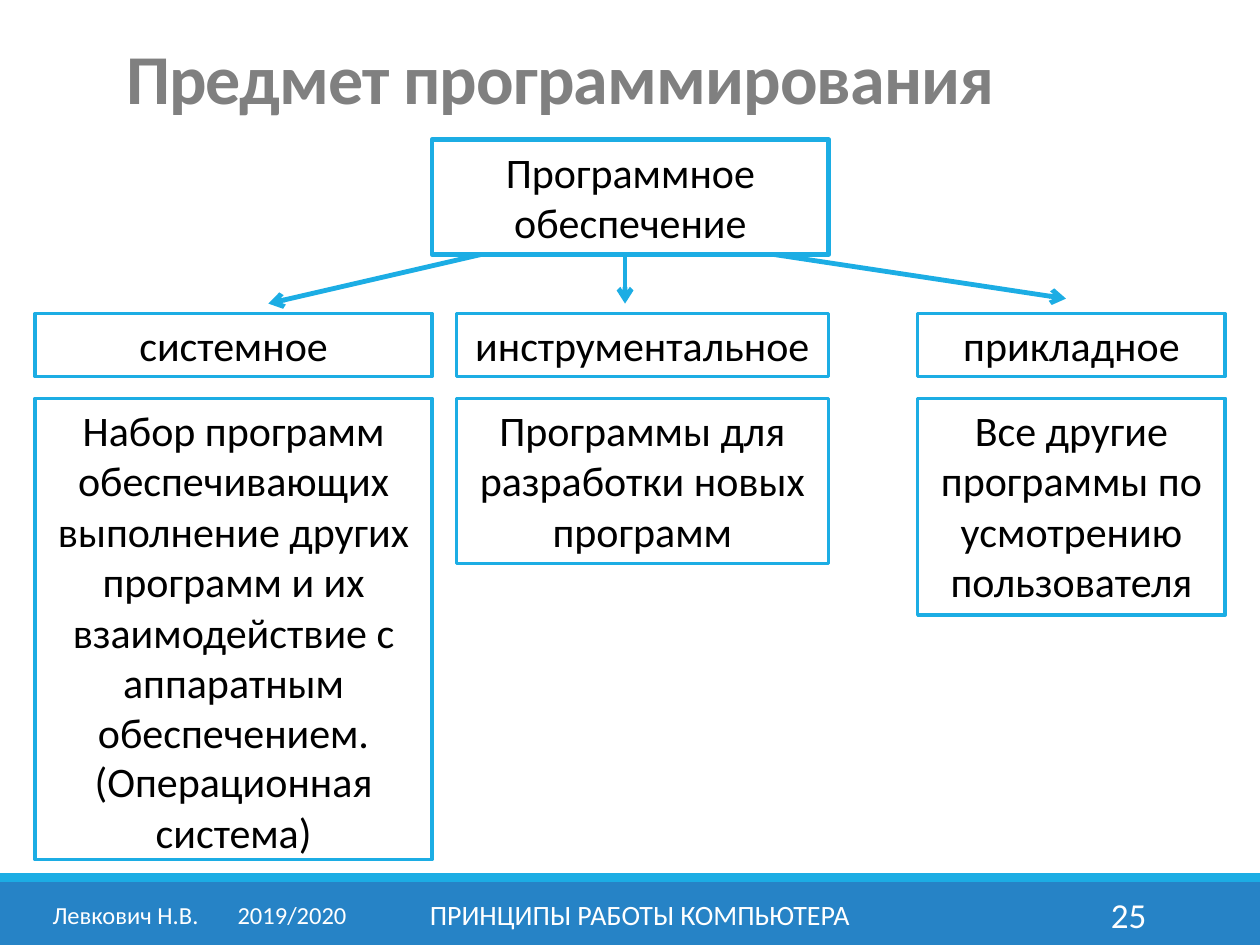
"""Build the slide on the subject of programming: a tree of software kinds."""
from dataclasses import dataclass

import lxml.etree
import pptx
import pptx.dml.color
import pptx.enum.shapes
import pptx.enum.text
import pptx.oxml.ns
import pptx.util

Cm = pptx.util.Cm
Pt = pptx.util.Pt
ALIGN = pptx.enum.text.PP_ALIGN
ANCHOR = pptx.enum.text.MSO_ANCHOR
qn = pptx.oxml.ns.qn

COLORS = {"blue": "2683C6", "cyan": "1CADE4", "grey": "808080",
          "black": "000000", "white": "FFFFFF"}
FONT = "Calibri"
KIND_TOP, KIND_HEIGHT, DESCRIPTION_TOP = 6.32, 1.27, 8.03
ROOT_BOTTOM = 5.13
FOOTER_TOP, FOOTER_HEIGHT = 17.93, 1.02


@dataclass
class Area:
    left: float
    top: float
    width: float
    height: float

    def lengths(self) -> tuple:
        return Cm(self.left), Cm(self.top), Cm(self.width), Cm(self.height)


@dataclass
class Branch:
    kind: str
    description: str
    left: float
    width: float
    description_height: float
    arrow_start: float
    arrow_end: tuple[float, float]


@dataclass
class FooterPart:
    text: str
    left: float
    width: float
    size: int
    align: ALIGN


BRANCHES = [
    Branch("системное",
           "Набор программ обеспечивающих выполнение других программ "
           "и их взаимодействие с аппаратным обеспечением.",
           0.71, 8, 9.3, 9.7, (5.41, 6.12)),
    Branch("инструментальное", "Программы для разработки новых программ",
           9.2, 7.5, 3.33, 12.6, (12.6, 6.12)),
    Branch("прикладное", "Все другие программы по усмотрению пользователя",
           18.5, 6.2, 4.37, 15.6, (21.49, 6.02)),
]
FOOTER = [
    FooterPart("Левкович Н.В.\t2019/2020", 0.81, 6.63, 14, ALIGN.LEFT),
    FooterPart("ПРИНЦИПЫ РАБОТЫ КОМПЬЮТЕРА", 7.67, 10.46, 16, ALIGN.CENTER),
    FooterPart("25", 20.62, 2.74, 20, ALIGN.RIGHT),
]


def rgb(name: str) -> pptx.dml.color.RGBColor:
    return pptx.dml.color.RGBColor.from_string(COLORS[name])


def write(shape, text: str, size: int, color: str, align: ALIGN, anchor: ANCHOR):
    frame = shape.text_frame
    frame.word_wrap = True
    frame.auto_size = pptx.enum.text.MSO_AUTO_SIZE.NONE
    frame.vertical_anchor = anchor
    paragraph = frame.paragraphs[0]
    paragraph.add_run().text = text
    paragraph.alignment = align
    paragraph.font.name = FONT
    paragraph.font.size = Pt(size)
    paragraph.font.color.rgb = rgb(color)
    return paragraph


def add_rectangle(slide, area: Area):
    rectangle = slide.shapes.add_shape(
        pptx.enum.shapes.MSO_SHAPE.RECTANGLE, *area.lengths())
    rectangle.shadow.inherit = False
    return rectangle


def add_bar(slide, area: Area, color: str) -> None:
    bar = add_rectangle(slide, area)
    bar.fill.solid()
    bar.fill.fore_color.rgb = rgb(color)
    bar.line.fill.background()


def add_box(slide, text: str, area: Area, line_width: float = 2) -> None:
    box = add_rectangle(slide, area)
    box.fill.background()
    box.line.color.rgb = rgb("cyan")
    box.line.width = Pt(line_width)
    write(box, text, 24, "black", ALIGN.CENTER, ANCHOR.TOP)


def add_label(slide, text: str, area: Area, size: int, color: str,
              align: ALIGN, anchor: ANCHOR):
    label = slide.shapes.add_textbox(*area.lengths())
    return write(label, text, size, color, align, anchor)


def add_arrow(slide, start: tuple[float, float], end: tuple[float, float]) -> None:
    arrow = slide.shapes.add_connector(
        pptx.enum.shapes.MSO_CONNECTOR.STRAIGHT,
        *(Cm(value) for value in start + end))
    arrow.line.color.rgb = rgb("cyan")
    arrow.line.width = Pt(2.75)
    lxml.etree.SubElement(arrow.line._get_or_add_ln(), qn("a:tailEnd"), type="arrow")
    lxml.etree.SubElement(arrow._element.spPr, qn("a:effectLst"))


def add_title(slide, text: str) -> None:
    title = slide.shapes.title
    title.left, title.top, title.width, title.height = Area(2.29, 0.66, 20.96, 2.03).lengths()
    paragraph = write(title, text, 40, "grey", ALIGN.LEFT, ANCHOR.MIDDLE)
    paragraph.font.bold = True
    paragraph.line_spacing = 0.85
    paragraph.runs[0].font._element.set("spc", "-50")


def add_footer(slide) -> None:
    add_bar(slide, Area(0, 17.78, 25.4, 1.27), "blue")
    add_bar(slide, Area(0, 17.6, 25.4, 0.18), "cyan")
    for part in FOOTER:
        area = Area(part.left, FOOTER_TOP, part.width, FOOTER_HEIGHT)
        paragraph = add_label(slide, part.text, area, part.size, "white",
                              part.align, ANCHOR.MIDDLE)
        if "\t" in part.text:
            tabs = lxml.etree.Element(qn("a:tabLst"))
            lxml.etree.SubElement(tabs, qn("a:tab"), pos=str(Cm(3.73)), algn="l")
            paragraph._p.get_or_add_pPr().insert(0, tabs)


def main() -> None:
    presentation = pptx.Presentation()
    presentation.slide_width, presentation.slide_height = Cm(25.4), Cm(19.05)
    slide = presentation.slides.add_slide(presentation.slide_layouts[5])
    add_footer(slide)
    add_title(slide, "Предмет программирования")
    add_box(slide, "Программное обеспечение", Area(8.71, 2.82, 8, 2.31), 2.75)
    for branch in BRANCHES:
        add_box(slide, branch.kind,
                Area(branch.left, KIND_TOP, branch.width, KIND_HEIGHT))
        add_box(slide, branch.description,
                Area(branch.left, DESCRIPTION_TOP, branch.width, branch.description_height))
        add_arrow(slide, (branch.arrow_start, ROOT_BOTTOM), branch.arrow_end)
    add_label(slide, "(Операционная система)", Area(0.71, 15.11, 8, 2.31), 24,
              "black", ALIGN.CENTER, ANCHOR.TOP)
    presentation.save("out.pptx")


if __name__ == "__main__":
    main()
